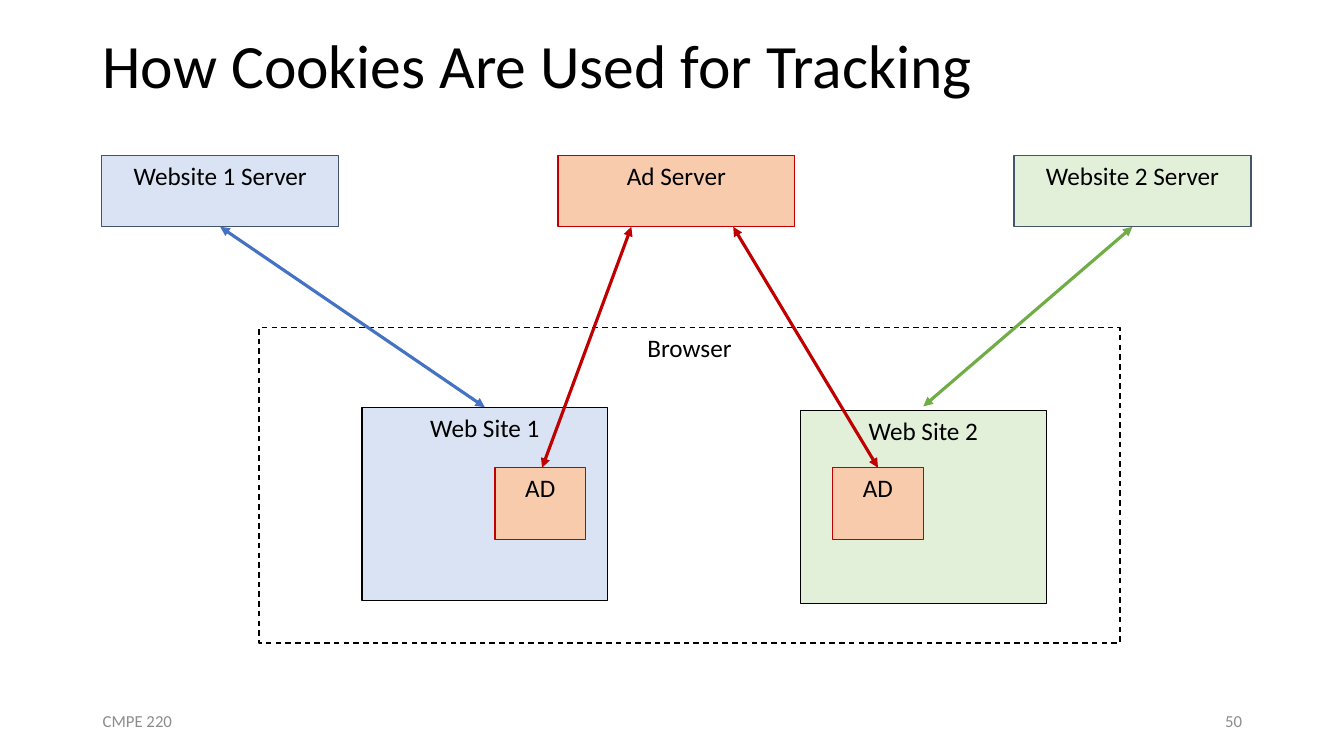
from dataclasses import dataclass

from lxml.etree import SubElement
from pptx import Presentation
from pptx.dml.color import RGBColor
from pptx.enum.dml import MSO_LINE
from pptx.enum.shapes import MSO_CONNECTOR, MSO_SHAPE
from pptx.enum.text import MSO_ANCHOR, PP_ALIGN
from pptx.oxml.ns import qn
from pptx.util import Inches, Pt


@dataclass(frozen=True)
class Theme:
    font: str = "Calibri"
    title_size: int = 44
    label_size: int = 18
    footer_size: int = 12
    outline_width: float = 1
    arrow_width: float = 2.25
    text: str = "000000"
    muted: str = "8C8C8C"
    slate: str = "44546A"
    site_1_fill: str = "DAE3F3"
    site_1_arrow: str = "4472C4"
    site_2_fill: str = "E2F0D9"
    site_2_arrow: str = "70AD47"
    ad_fill: str = "F8CBAD"
    ad_line: str = "C00000"


THEME = Theme()
GRID = Inches(0.1)
COLUMNS, ROWS = 133.33, 75


@dataclass(frozen=True)
class Box:
    left: float
    top: float
    width: float
    height: float

    def inside(self, column, row, width, height):
        return Box(self.left + column, self.top + row, width, height)

    def point(self, share_x, share_y):
        return self.left + share_x * self.width, self.top + share_y * self.height

    def lengths(self):
        return [round(n * GRID) for n in (self.left, self.top, self.width, self.height)]


def write_text(shape, text, size, color, alignment):
    frame = shape.text_frame
    frame.word_wrap = True
    frame.text = text
    paragraph = frame.paragraphs[0]
    paragraph.alignment = alignment
    font = paragraph.runs[0].font
    font.name = THEME.font
    font.size = Pt(size)
    font.color.rgb = RGBColor.from_string(color)
    return paragraph


def add_text(slide, box, text, size, color, alignment=PP_ALIGN.LEFT):
    shape = slide.shapes.add_textbox(*box.lengths())
    shape.text_frame.vertical_anchor = MSO_ANCHOR.MIDDLE
    return write_text(shape, text, size, color, alignment)


def add_panel(slide, box, label, fill, line):
    shape = slide.shapes.add_shape(MSO_SHAPE.RECTANGLE, *box.lengths())
    shape.shadow.inherit = False
    if fill:
        shape.fill.solid()
        shape.fill.fore_color.rgb = RGBColor.from_string(fill)
    else:
        shape.fill.background()
    shape.line.color.rgb = RGBColor.from_string(line)
    shape.line.width = Pt(THEME.outline_width)
    shape.text_frame.vertical_anchor = MSO_ANCHOR.TOP
    write_text(shape, label, THEME.label_size, THEME.text, PP_ALIGN.CENTER)
    return shape


def add_arrow(slide, start, end, color):
    ends = [round(n * GRID) for n in (*start, *end)]
    connector = slide.shapes.add_connector(MSO_CONNECTOR.STRAIGHT, *ends)
    connector.line.color.rgb = RGBColor.from_string(color)
    connector.line.width = Pt(THEME.arrow_width)
    properties = connector.element.spPr
    for tag in ("a:headEnd", "a:tailEnd"):
        SubElement(properties.find(qn("a:ln")), qn(tag), type="triangle")
    SubElement(properties, qn("a:effectLst"))


def add_title(slide, box):
    paragraph = add_text(slide, box, "How Cookies Are Used for Tracking",
                         THEME.title_size, THEME.text)
    paragraph.line_spacing = 0.9


def add_footer(slide, box):
    width = 30
    add_text(slide, box.inside(0, 0, width, box.height), "CMPE 220",
             THEME.footer_size, THEME.muted)
    add_text(slide, box.inside(box.width - width, 0, width, box.height), "50",
             THEME.footer_size, THEME.muted, PP_ALIGN.RIGHT)


def add_servers(slide, box):
    servers = (
        ("Website 1 Server", THEME.site_1_fill, THEME.slate),
        ("Ad Server", THEME.ad_fill, THEME.ad_line),
        ("Website 2 Server", THEME.site_2_fill, THEME.slate),
    )
    width = 23.5
    pitch = (box.width - width) / (len(servers) - 1)
    places = []
    for index, (label, fill, line) in enumerate(servers):
        place = box.inside(index * pitch, 0, width, box.height)
        add_panel(slide, place, label, fill, line)
        places.append(place)
    return places


def add_browser(slide, box):
    frame = add_panel(slide, box, "Browser", None, THEME.text)
    frame.line.dash_style = MSO_LINE.DASH
    sites = (
        ("Web Site 1", THEME.site_1_fill, (10.2, 7.9), (13.2, 6)),
        ("Web Site 2", THEME.site_2_fill, (53.7, 8.2), (3.2, 5.7)),
    )
    places = []
    for label, fill, site_offset, ad_offset in sites:
        site = box.inside(*site_offset, 24.4, 19.2)
        ad = site.inside(*ad_offset, 9, 7.1)
        add_panel(slide, site, label, fill, THEME.text)
        add_panel(slide, ad, "AD", THEME.ad_fill, THEME.ad_line)
        places.append((site, ad))
    return places


def add_traffic(slide, servers, pages):
    server_1, ad_server, server_2 = servers
    (site_1, ad_1), (site_2, ad_2) = pages
    routes = (
        (server_1.point(0.5, 1), site_1.point(0.5, 0), THEME.site_1_arrow),
        (server_2.point(0.5, 1), site_2.point(0.5, -0.02), THEME.site_2_arrow),
        (ad_server.point(0.31, 1), ad_1.point(0.52, 0), THEME.ad_line),
        (ad_server.point(0.74, 1), ad_2.point(0.5, 0), THEME.ad_line),
    )
    for start, end, color in routes:
        add_arrow(slide, start, end, color)


def add_tracking_slide(presentation):
    slide = presentation.slides.add_slide(presentation.slide_layouts[6])
    add_title(slide, Box(9.2, 0, 115, 13.5))
    add_footer(slide, Box(9.2, 69.5, 115, 4))
    servers = add_servers(slide, Box(10.1, 15.4, 114, 7.1))
    pages = add_browser(slide, Box(25.7, 32.5, 85.4, 31.3))
    add_traffic(slide, servers, pages)


def main():
    presentation = Presentation()
    presentation.slide_width = round(COLUMNS * GRID)
    presentation.slide_height = round(ROWS * GRID)
    add_tracking_slide(presentation)
    presentation.save("out.pptx")


if __name__ == "__main__":
    main()
